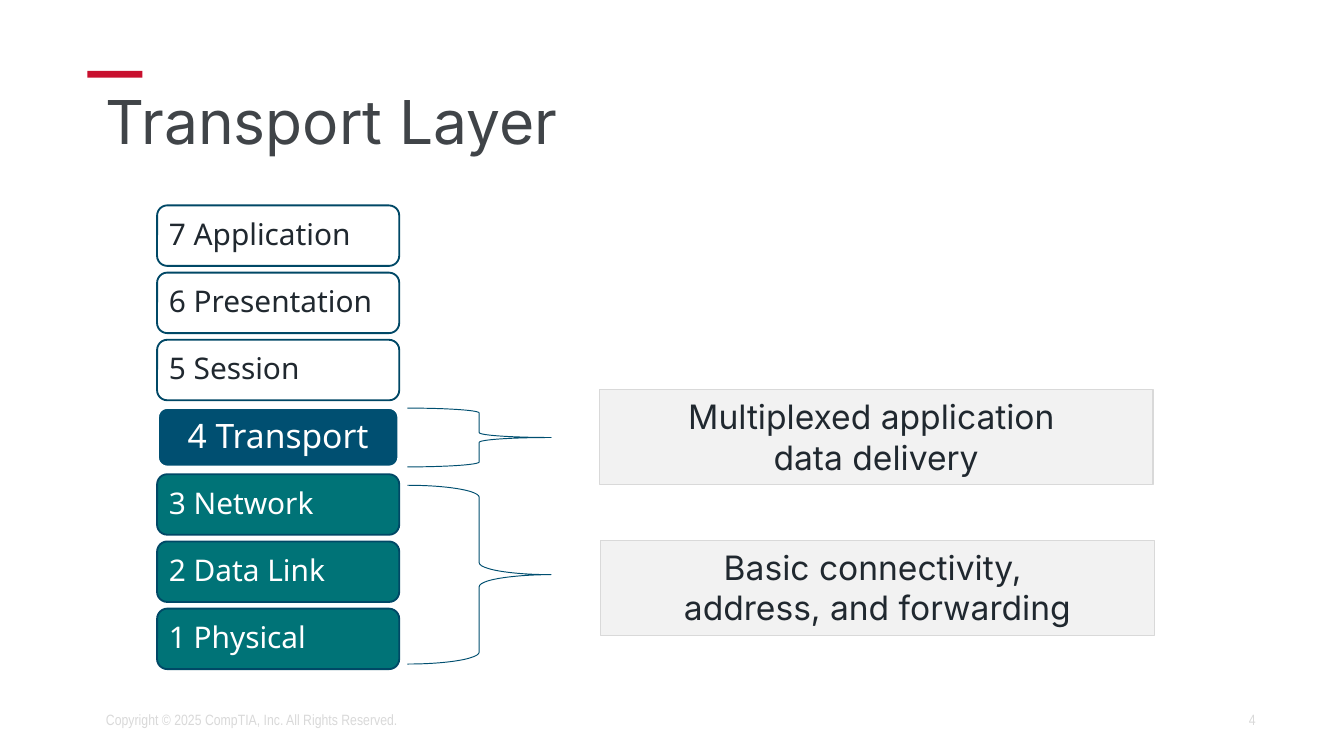
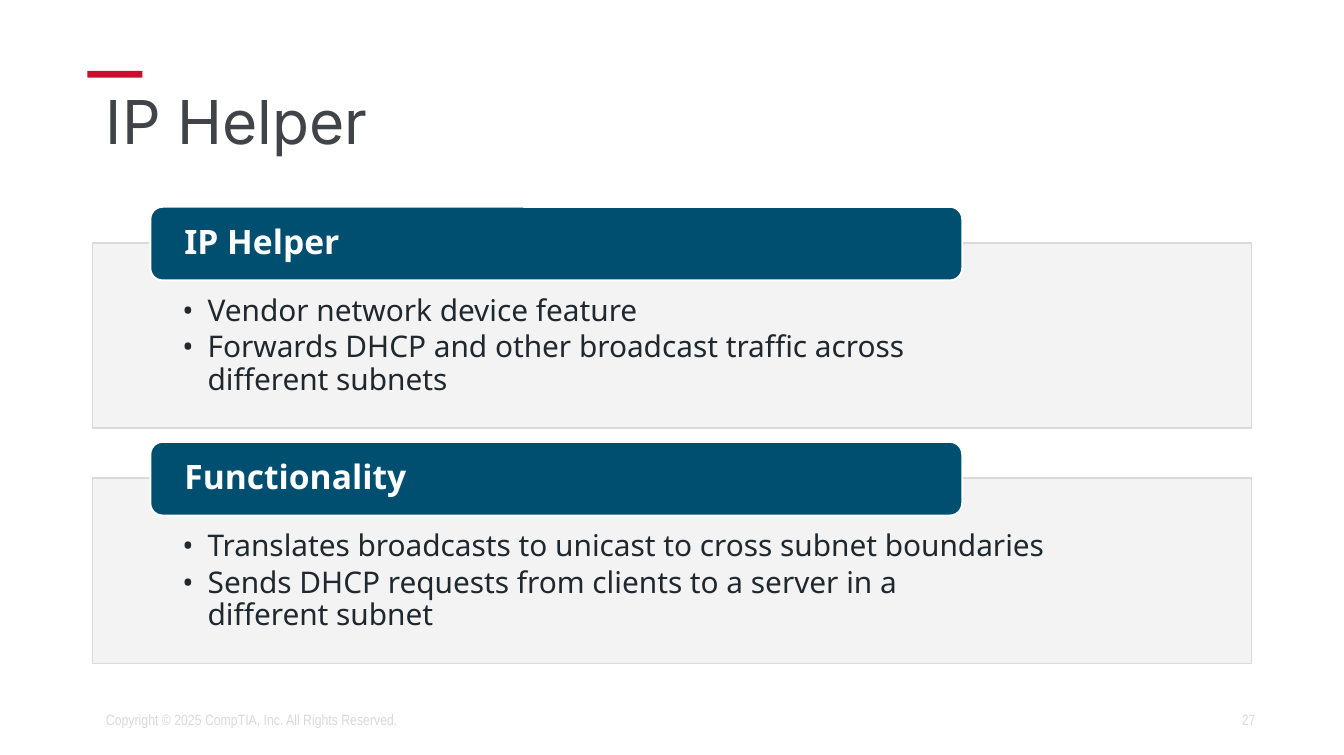
from dataclasses import dataclass

from lxml import etree
from pptx import Presentation
from pptx.dml.color import RGBColor
from pptx.enum.shapes import MSO_SHAPE
from pptx.enum.text import MSO_ANCHOR, MSO_AUTO_SIZE, PP_ALIGN
from pptx.oxml.ns import qn
from pptx.shapes.autoshape import Shape
from pptx.slide import Slide
from pptx.util import Pt

RECTANGLE, ROUNDED, BRACE = MSO_SHAPE.RECTANGLE, MSO_SHAPE.ROUNDED_RECTANGLE, MSO_SHAPE.LEFT_BRACE
TOP, MIDDLE = MSO_ANCHOR.TOP, MSO_ANCHOR.MIDDLE
LEFT, CENTER, RIGHT = PP_ALIGN.LEFT, PP_ALIGN.CENTER, PP_ALIGN.RIGHT
GROW = MSO_AUTO_SIZE.SHAPE_TO_FIT_TEXT

WHITE = RGBColor(0xFF, 0xFF, 0xFF)
RED = RGBColor(0xC8, 0x10, 0x2E)
TITLE_GREY = RGBColor(0x40, 0x44, 0x48)
INK = RGBColor(0x20, 0x28, 0x2F)
RULE_GREY = RGBColor(0xD9, 0xD9, 0xD9)
PANEL_GREY = RGBColor(0xF2, 0xF2, 0xF2)
NAVY = RGBColor(0x00, 0x4F, 0x71)
BRACE_BLUE = RGBColor(0x00, 0x4F, 0x70)
OUTLINE_BLUE = RGBColor(0x00, 0x48, 0x66)
TEAL = RGBColor(0x00, 0x73, 0x77)

SLIDE_WIDTH, SLIDE_HEIGHT = 720, 404.64
COPYRIGHT = "Copyright © 2025 CompTIA, Inc. All Rights Reserved."
MARGIN, CONTENT_WIDTH = 49.7, 620.9
FOOTER_TOP, FOOTER_HEIGHT = 374.9, 21.6
LAYER_LEFT, LAYER_TOP, LAYER_WIDTH, LAYER_HEIGHT, LAYER_PITCH = 84.2, 110.1, 129.7, 32.4, 36.02
BRACE_LEFT, BRACE_WIDTH = 218.2, 77
CARD_TOP, CARD_PITCH, PANEL_DROP, PANEL_HEIGHT = 110.9, 126, 19.4, 99.2
HEADER_LEFT, HEADER_WIDTH, HEADER_HEIGHT = 80.6, 434.9, 39.4
BULLET_INDENT = 13.5


@dataclass(frozen=True)
class Box:
    """A place on the slide, in points."""
    left: float
    top: float
    width: float
    height: float


@dataclass(frozen=True)
class Style:
    """How a text is set."""
    font: str
    size: float
    color: RGBColor
    align: PP_ALIGN = LEFT
    anchor: MSO_ANCHOR = MIDDLE
    spacing: float = 1.0
    insets: tuple[float, float, float, float] = (7.2, 3.6, 7.2, 3.6)
    bold: bool = False
    bulleted: bool = False


@dataclass(frozen=True)
class Layer:
    """One layer of the network model."""
    label: str
    fill: RGBColor
    outline: RGBColor
    outline_width: float
    style: Style


@dataclass(frozen=True)
class Role:
    """What a braced group of layers does."""
    text: str
    box: Box
    brace_top: float
    brace_height: float


@dataclass(frozen=True)
class Card:
    """A headed panel of bullets."""
    heading: str
    points: tuple[str, ...]


TITLE = Style("Inter", 32.4, TITLE_GREY, anchor=TOP, spacing=0.9)
COPYRIGHT_STYLE = Style("Arial Narrow", 8, RULE_GREY)
NUMBER_STYLE = Style("Arial Narrow", 8, RULE_GREY, RIGHT)
UPPER_TEXT = Style("Noto Sans", 16, INK, spacing=0.9, insets=(4.8, 5, 4.8, 5))
LOWER_TEXT = Style("Noto Sans", 16, WHITE, spacing=0.9, insets=(4.8, 5, 4.8, 5))
FOCUS_TEXT = Style("Noto Sans", 18, WHITE, CENTER, spacing=0.9, insets=(5, 3, 5, 3))
ROLE_TEXT = Style("Inter", 18, INK, CENTER, TOP)
HEADING = Style("Noto Sans", 18, WHITE, spacing=0.9, insets=(16.3, 0, 16.3, 0), bold=True)
POINTS = Style("Noto Sans", 16, INK, anchor=TOP, spacing=0.9,
               insets=(48.1, 28.1, 48.1, 8.6), bulleted=True)

LAYERS = (
    *(Layer(label, WHITE, OUTLINE_BLUE, 1, UPPER_TEXT)
      for label in ("7 Application", "6 Presentation", "5 Session")),
    Layer("4 Transport", NAVY, WHITE, 2, FOCUS_TEXT),
    *(Layer(label, TEAL, OUTLINE_BLUE, 1, LOWER_TEXT)
      for label in ("3 Network", "2 Data Link", "1 Physical")),
)
ROLES = (
    Role("Basic connectivity, \naddress, and forwarding", Box(321.8, 289.6, 296.6, 50.9), 260.1, 95.8),
    Role("Multiplexed application \ndata delivery", Box(321.1, 208.9, 296.6, 50.9), 218.7, 31.5),
)
CARDS = (
    Card("IP Helper", (
        "Vendor network device feature",
        "Forwards DHCP and other broadcast traffic across \ndifferent subnets")),
    Card("Functionality", (
        "Translates broadcasts to unicast to cross subnet boundaries",
        "Sends DHCP requests from clients to a server in a \ndifferent subnet")),
)


def write(holder: Shape, paragraphs: tuple[str, ...], style: Style) -> None:
    """Set paragraphs in a shape, breaking lines at newlines."""
    frame = holder.text_frame
    frame.word_wrap = True
    frame.vertical_anchor = style.anchor
    frame.margin_left, frame.margin_top, frame.margin_right, frame.margin_bottom = map(Pt, style.insets)
    for index, text in enumerate(paragraphs):
        paragraph = frame.add_paragraph() if index else frame.paragraphs[0]
        if style.bulleted:
            properties = paragraph._p.get_or_add_pPr()
            properties.set("marL", str(Pt(BULLET_INDENT)))
            properties.set("indent", str(-Pt(BULLET_INDENT)))
            etree.SubElement(properties, qn("a:buFont")).set("typeface", style.font)
            etree.SubElement(properties, qn("a:buChar")).set("char", "•")
            paragraph.level = 1
            paragraph.space_after = Pt(2.4)
        paragraph.alignment = style.align
        paragraph.line_spacing = style.spacing
        for line_index, line in enumerate(text.split("\n")):
            if line_index:
                paragraph.add_line_break()
            run = paragraph.add_run()
            run.text = line
            run.font.name = style.font
            run.font.size = Pt(style.size)
            run.font.bold = style.bold
            run.font.color.rgb = style.color


def add_text(slide: Slide, box: Box, text: str, style: Style) -> None:
    """Add a text box."""
    holder = slide.shapes.add_textbox(Pt(box.left), Pt(box.top), Pt(box.width), Pt(box.height))
    write(holder, (text,), style)


def add_block(slide: Slide, kind: MSO_SHAPE, box: Box, fill: RGBColor | None = None,
              outline: RGBColor | None = None, outline_width: float = 0.75) -> Shape:
    """Add a flat shape with an optional fill and outline."""
    block = slide.shapes.add_shape(kind, Pt(box.left), Pt(box.top), Pt(box.width), Pt(box.height))
    block.shadow.inherit = False
    if fill is None:
        block.fill.background()
    else:
        block.fill.solid()
        block.fill.fore_color.rgb = fill
    if outline is None:
        block.line.fill.background()
    else:
        block.line.color.rgb = outline
        block.line.width = Pt(outline_width)
    return block


def set_opacity(block: Shape, percent: int) -> None:
    """Make a solid fill partly transparent."""
    color = block._element.spPr.find(qn("a:solidFill")).find(qn("a:srgbClr"))
    etree.SubElement(color, qn("a:alpha")).set("val", str(percent * 1000))


def start_slide(deck: Presentation, title: str, number: int) -> Slide:
    """Add a slide with its accent, title and footer."""
    slide = deck.slides.add_slide(deck.slide_layouts[6])
    add_block(slide, RECTANGLE, Box(46.8, 38, 29.5, 3.6), RED)
    add_text(slide, Box(MARGIN, 46.1, CONTENT_WIDTH, 45.4), title, TITLE)
    add_text(slide, Box(508.3, FOOTER_TOP, 171.4, FOOTER_HEIGHT), str(number), NUMBER_STYLE)
    add_text(slide, Box(MARGIN, FOOTER_TOP, 310.3, FOOTER_HEIGHT), COPYRIGHT, COPYRIGHT_STYLE)
    return slide


def add_layer(slide: Slide, layer: Layer, index: int) -> None:
    """Add one layer to the stack."""
    box = Box(LAYER_LEFT, LAYER_TOP + index * LAYER_PITCH, LAYER_WIDTH, LAYER_HEIGHT)
    block = add_block(slide, ROUNDED, box, layer.fill, layer.outline, layer.outline_width)
    write(block, (layer.label,), layer.style)


def add_role(slide: Slide, role: Role) -> None:
    """Add a brace and the role it points to."""
    brace_box = Box(BRACE_LEFT, role.brace_top, BRACE_WIDTH, role.brace_height)
    brace = add_block(slide, BRACE, brace_box, outline=BRACE_BLUE, outline_width=0.5)
    brace.rotation = 180
    block = add_block(slide, RECTANGLE, role.box, PANEL_GREY, RULE_GREY)
    write(block, (role.text,), ROLE_TEXT)
    block.text_frame.auto_size = GROW


def add_card(slide: Slide, card: Card, index: int) -> None:
    """Add a bullet panel with its heading overlapping the top edge."""
    top = CARD_TOP + index * CARD_PITCH
    panel_box = Box(MARGIN, top + PANEL_DROP, CONTENT_WIDTH, PANEL_HEIGHT)
    panel = add_block(slide, RECTANGLE, panel_box, PANEL_GREY, RULE_GREY)
    set_opacity(panel, 90)
    write(panel, card.points, POINTS)
    header_box = Box(HEADER_LEFT, top, HEADER_WIDTH, HEADER_HEIGHT)
    header = add_block(slide, ROUNDED, header_box, NAVY, WHITE, 1)
    write(header, (card.heading,), HEADING)


def main() -> None:
    """Build and save the deck."""
    deck = Presentation()
    deck.slide_width, deck.slide_height = Pt(SLIDE_WIDTH), Pt(SLIDE_HEIGHT)

    transport = start_slide(deck, "Transport Layer", 4)
    for index, layer in enumerate(LAYERS):
        add_layer(transport, layer, index)
    for role in ROLES:
        add_role(transport, role)

    helper = start_slide(deck, "IP Helper", 27)
    for index, card in enumerate(CARDS):
        add_card(helper, card, index)

    deck.save("out.pptx")


if __name__ == "__main__":
    main()
